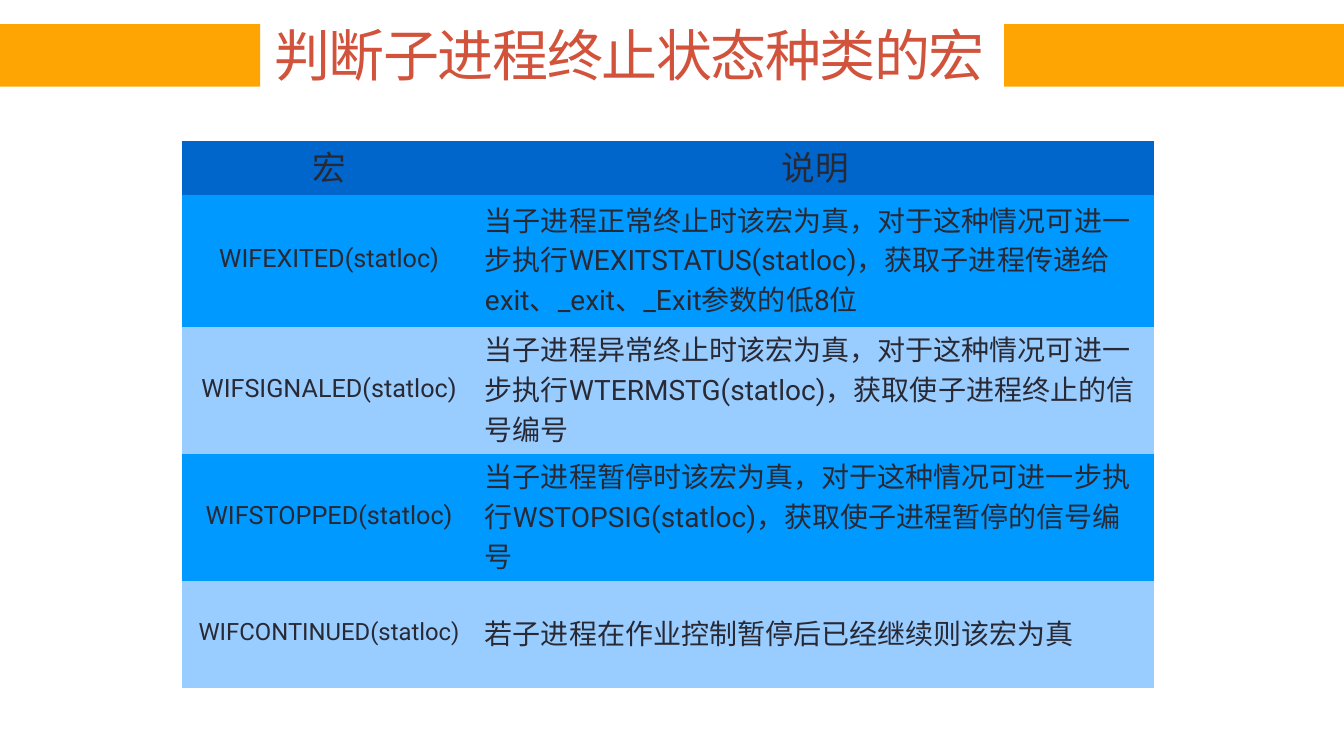
from lxml import etree
from pptx import Presentation
from pptx import util as u
from pptx.dml.color import RGBColor
from pptx.enum import shapes, text
from pptx.oxml.ns import qn

TITLE = "判断子进程终止状态种类的宏"
HEADER = ("宏", "说明")
MACROS = [
    ("WIFEXITED(statloc)", "当子进程正常终止时该宏为真，对于这种情况可进一步执行WEXITSTATUS(statloc)，获取子进程传递给exit、_exit、_Exit参数的低8位"),
    ("WIFSIGNALED(statloc)", "当子进程异常终止时该宏为真，对于这种情况可进一步执行WTERMSTG(statloc)，获取使子进程终止的信号编号"),
    ("WIFSTOPPED(statloc)", "当子进程暂停时该宏为真，对于这种情况可进一步执行WSTOPSIG(statloc)，获取使子进程暂停的信号编号"),
    ("WIFCONTINUED(statloc)", "若子进程在作业控制暂停后已经继续则该宏为真"),
]
MACRO_SIZES = (18, 18, 18, 17)
COL_WIDTHS = (2.91, 6.73)
ROW_HEIGHTS = (0.53, 1.31, 1.26, 1.26, 1.06)
BARS = [(0, 2.58), (9.96, 3.37)]
COLORS = {"title": "D2533C", "text": "292934", "bar": "FFA503", "border": "FFFFFF",
          "header": "0066CC", "odd": "0099FF", "even": "99CCFF"}
CJK = "Noto Sans CJK SC"
LATIN = "Roboto"


def rgb(name):
    return RGBColor.from_string(COLORS[name])


def write(tf, content, align, size, color, latin):
    p = tf.paragraphs[0]
    p.alignment = align
    p.line_spacing = 0.98
    p.space_before = u.Pt(0)
    r = p.add_run()
    r.text = content
    for key, value in {"name": latin, "size": u.Pt(size), "bold": False}.items():
        setattr(r.font, key, value)
    r.font.color.rgb = rgb(color)
    r.font._element.find(qn("a:latin")).addnext(
        r.font._element.makeelement(qn("a:ea"), {"typeface": CJK}))
    return r


def add_borders(cell):
    tc_pr = cell._tc.get_or_add_tcPr()
    for side in ("lnL", "lnR", "lnT", "lnB"):
        ln = etree.SubElement(tc_pr, qn(f"a:{side}"), w=str(u.Pt(0.03)))
        fill = etree.SubElement(ln, qn("a:solidFill"))
        etree.SubElement(fill, qn("a:srgbClr"), val=COLORS["border"])


def add_title(s):
    sp = s.shapes.title
    for key, value in {"left": 2.72, "top": -0.03, "width": 9.34, "height": 1.16}.items():
        setattr(sp, key, u.Inches(value))
    tf = sp.text_frame
    frame = {"margin_left": 0, "margin_right": 0, "margin_bottom": 0,
             "margin_top": u.Inches(0.02), "word_wrap": True,
             "auto_size": text.MSO_AUTO_SIZE.NONE,
             "vertical_anchor": text.MSO_ANCHOR.MIDDLE}
    for key, value in frame.items():
        setattr(tf, key, value)
    r = write(tf, TITLE, text.PP_ALIGN.LEFT, 40, "title", CJK)
    r.font._element.set("spc", "-100")


def add_macro_table(s):
    rows = [HEADER] + MACROS
    table = s.shapes.add_table(
        len(rows), len(HEADER), u.Inches(1.81), u.Inches(1.4),
        u.Inches(sum(COL_WIDTHS)), u.Inches(sum(ROW_HEIGHTS))).table
    table.first_row = table.horz_banding = False
    for column, width in zip(table.columns, COL_WIDTHS):
        column.width = u.Inches(width)
    margins = {"margin_left": 0.09, "margin_top": 0.01,
               "margin_right": 0.09, "margin_bottom": 0.05}
    for i, row in enumerate(rows):
        table.rows[i].height = u.Inches(ROW_HEIGHTS[i])
        band = "header" if i == 0 else "odd" if i % 2 else "even"
        sizes = (24, 24) if i == 0 else (MACRO_SIZES[i - 1], 20)
        for j, content in enumerate(row):
            cell = table.cell(i, j)
            add_borders(cell)
            cell.fill.solid()
            cell.fill.fore_color.rgb = rgb(band)
            cell.vertical_anchor = text.MSO_ANCHOR.MIDDLE
            for key, value in margins.items():
                setattr(cell, key, u.Inches(value))
            centred = i == 0 or j == 0
            align = text.PP_ALIGN.CENTER if centred else text.PP_ALIGN.LEFT
            write(cell.text_frame, content, align, sizes[j], "text", LATIN)


def add_bars(s):
    for left, width in BARS:
        sp = s.shapes.add_shape(shapes.MSO_SHAPE.RECTANGLE, u.Inches(left),
                                u.Inches(0.24), u.Inches(width), u.Inches(0.62))
        sp.shadow.inherit = False
        sp.fill.solid()
        sp.fill.fore_color.rgb = rgb("bar")
        sp.line.fill.background()


def main():
    prs = Presentation()
    prs.slide_width, prs.slide_height = u.Inches(13.33), u.Inches(7.5)
    s = prs.slides.add_slide(prs.slide_layouts[5])
    add_title(s)
    add_macro_table(s)
    add_bars(s)
    prs.save("out.pptx")


if __name__ == "__main__":
    main()
